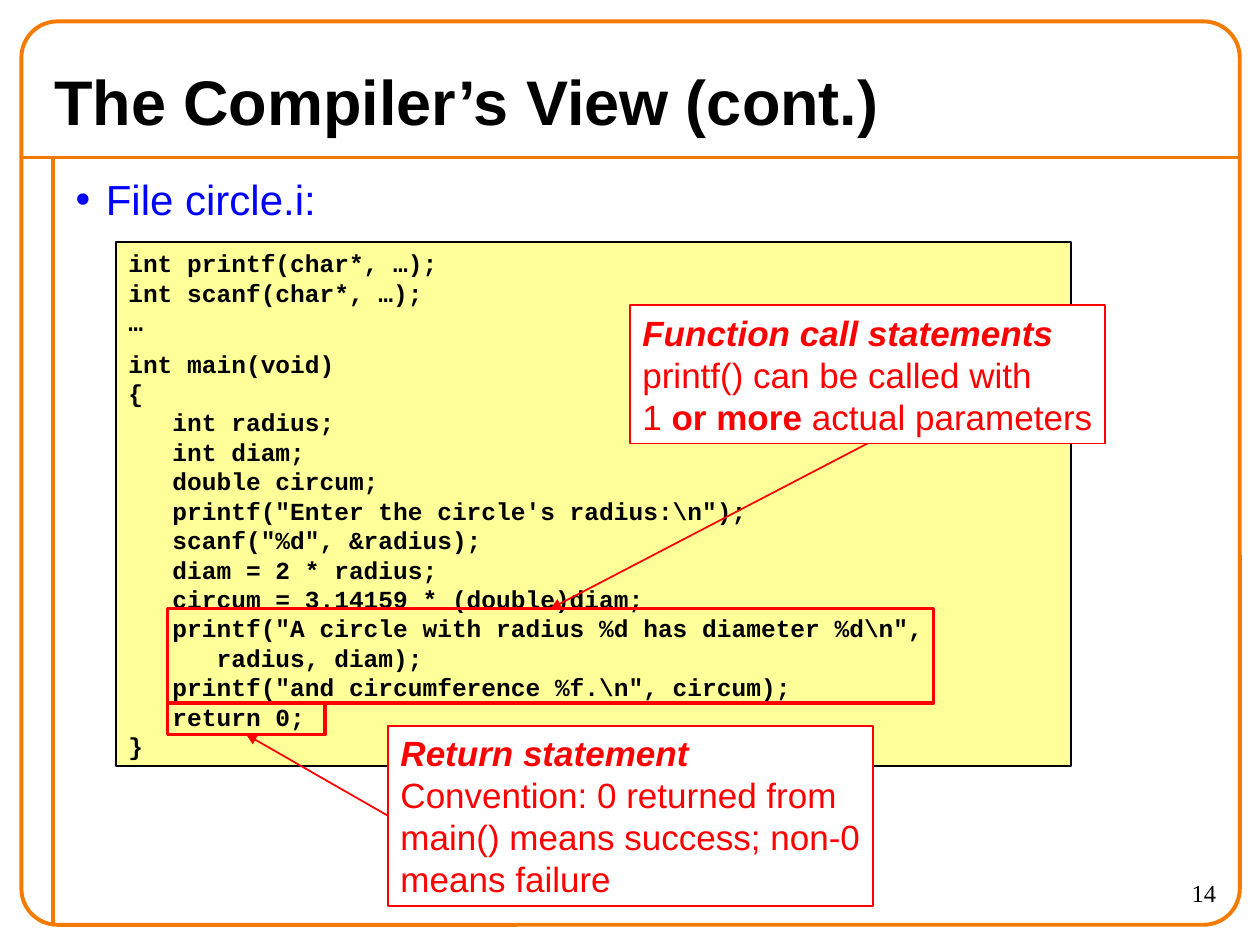
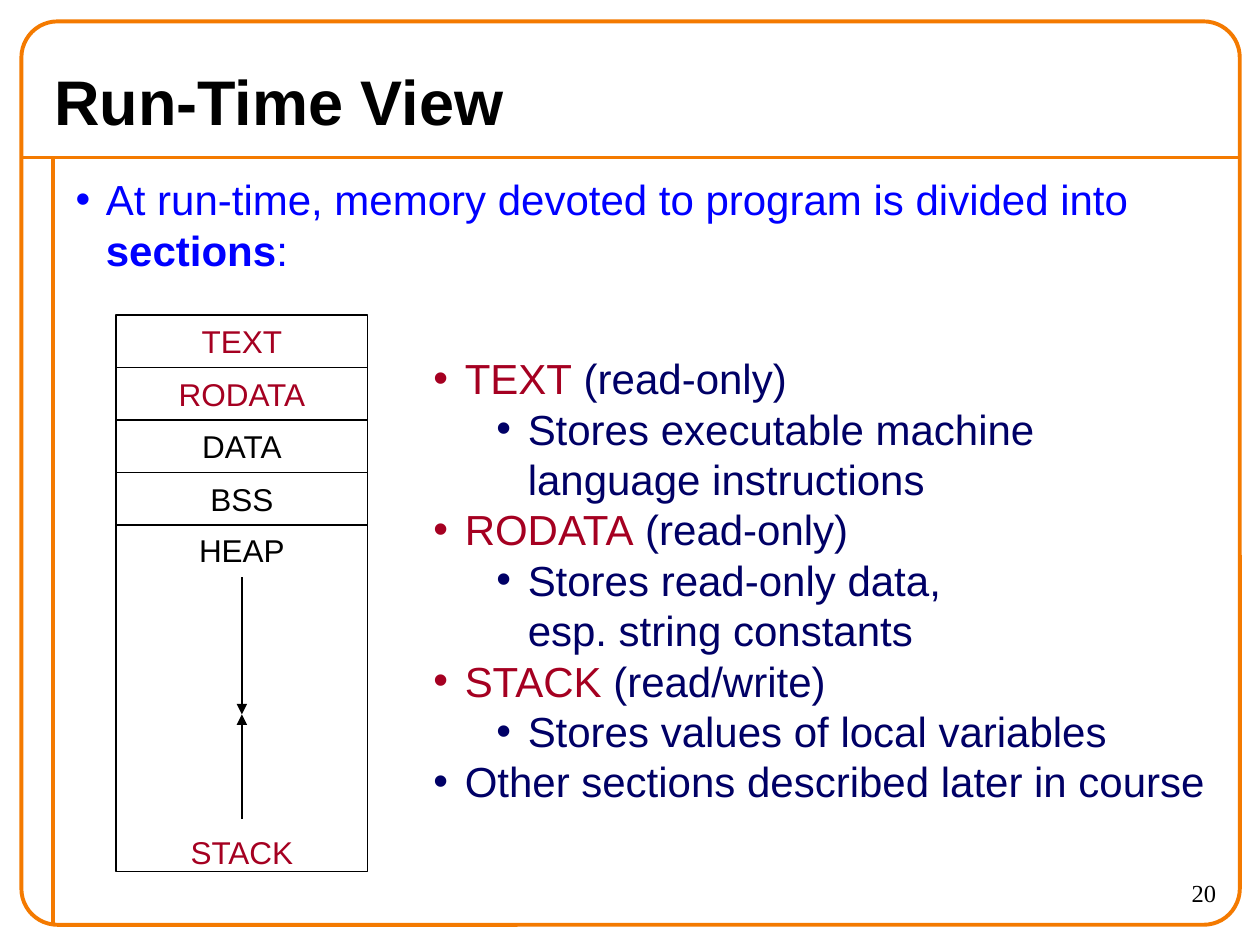
from lxml import etree
from pptx import Presentation
from pptx.dml.color import RGBColor
from pptx.enum import shapes, text
from pptx.oxml import ns
from pptx.util import Inches, Pt

ORANGE = RGBColor(0xF4, 0x7A, 0x00)
BLACK = RGBColor(0, 0, 0)
WHITE = RGBColor(0xFF, 0xFF, 0xFF)
BLUE = RGBColor(0, 0, 0xFF)
NAVY = RGBColor(0, 0, 0x66)
CRIMSON = RGBColor(0xA5, 0x00, 0x21)
RED = RGBColor(0xFF, 0, 0)
YELLOW = RGBColor(0xFF, 0xFF, 0x99)

SANS, SERIF, MONO = "Arial", "Times New Roman", "Courier New"
LINE_PITCH = 1.2

DECLARATIONS = """int printf(char*, …);
int scanf(char*, …);
…"""
MAIN_FUNCTION = r"""int main(void)
{
   int radius;
   int diam;
   double circum;
   printf("Enter the circle's radius:\n");
   scanf("%d", &radius);
   diam = 2 * radius;
   circum = 3.14159 * (double)diam;
   printf("A circle with radius %d has diameter %d\n",
      radius, diam);
   printf("and circumference %f.\n", circum);
   return 0;
}"""


# Text helpers
def write(paragraph, pieces, size, font=SANS, align=text.PP_ALIGN.LEFT, before=0):
    """Fill a paragraph with (text, colour, style) pieces; style holds b and/or i."""
    paragraph.alignment = align
    paragraph.space_before = Pt(before)
    paragraph.line_spacing = Pt(size * LINE_PITCH)
    for content, colour, style in pieces:
        for index, line in enumerate(content.split("\n")):
            if index:
                paragraph.add_line_break()
            run = paragraph.add_run()
            run.text = line
            run.font.name, run.font.size = font, Pt(size)
            run.font.color.rgb = colour
            run.font.bold, run.font.italic = "b" in style, "i" in style


def add_bullet(paragraph, colour, left, hanging):
    properties = paragraph._p.get_or_add_pPr()
    properties.set("marL", str(Inches(left)))
    properties.set("indent", str(-Inches(hanging)))
    bullet_colour = etree.SubElement(properties, ns.qn("a:buClr"))
    etree.SubElement(bullet_colour, ns.qn("a:srgbClr"), val=str(colour))
    etree.SubElement(properties, ns.qn("a:buFont"), typeface=SANS)
    etree.SubElement(properties, ns.qn("a:buChar"), char="•")


def paragraphs_of(frame, count):
    return [frame.paragraphs[0]] + [frame.add_paragraph() for _ in range(count - 1)]


# Shape helpers
def place(shape, box):
    shape.left, shape.top, shape.width, shape.height = map(Inches, box)


def add_box(slide, box, line, width, fill=None, kind=shapes.MSO_SHAPE.RECTANGLE,
            anchor=text.MSO_ANCHOR.MIDDLE):
    shape = slide.shapes.add_shape(kind, *map(Inches, box))
    shape.shadow.inherit = False
    shape.line.color.rgb, shape.line.width = line, Pt(width)
    if fill is None:
        shape.fill.background()
    else:
        shape.fill.solid()
        shape.fill.fore_color.rgb = fill
    shape.text_frame.word_wrap = False
    shape.text_frame.vertical_anchor = anchor
    return shape


def add_line(slide, start, end, colour, width, arrow=False):
    line = slide.shapes.add_connector(shapes.MSO_CONNECTOR.STRAIGHT,
                                      *map(Inches, (*start, *end)))
    line.line.color.rgb, line.line.width = colour, Pt(width)
    if arrow:
        etree.SubElement(line.line._get_or_add_ln(), ns.qn("a:tailEnd"), type="triangle")
    etree.SubElement(line._element.spPr, ns.qn("a:effectLst"))
    return line


# Shared slide: frame, title, lead bullet and page number
def add_slide(presentation, title, lead, number):
    slide = presentation.slides.add_slide(presentation.slide_layouts[1])
    add_line(slide, (0.17, 1.25), (9.83, 1.25), ORANGE, 2.25)
    add_line(slide, (0.42, 1.25), (0.42, 7.33), ORANGE, 2.25)
    frame = add_box(slide, (0.17, 0.17, 9.67, 7.17), ORANGE, 2.25,
                    kind=shapes.MSO_SHAPE.ROUNDED_RECTANGLE)
    frame.adjustments[0] = 0.04

    heading, body = slide.shapes.title, slide.placeholders[1]
    place(heading, (0.33, 0.42, 9.33, 0.75))
    place(body, (0.5, 1.33, 9.25, 6))
    for placeholder in (heading, body):
        placeholder.text_frame.auto_size = text.MSO_AUTO_SIZE.NONE
        placeholder.text_frame.word_wrap = True
    heading.text_frame.vertical_anchor = text.MSO_ANCHOR.MIDDLE
    write(heading.text_frame.paragraphs[0], [(title, BLACK, "b")], 36)
    add_bullet(body.text_frame.paragraphs[0], BLUE, 0.24, 0.24)
    write(body.text_frame.paragraphs[0], lead, 24)

    page = slide.shapes.add_textbox(*map(Inches, (8.75, 6.92, 1, 0.42)))
    page.text_frame.word_wrap = True
    write(page.text_frame.paragraphs[0], [(number, BLACK, "")], 14, SERIF,
          text.PP_ALIGN.RIGHT)
    return slide


# Code listing
def add_code(slide, box):
    listing = add_box(slide, box, BLACK, 1, YELLOW, anchor=text.MSO_ANCHOR.TOP)
    listing.text_frame.word_wrap = True
    blocks = (DECLARATIONS, MAIN_FUNCTION)
    for index, paragraph in enumerate(paragraphs_of(listing.text_frame, len(blocks))):
        write(paragraph, [(blocks[index], BLACK, "b")], 14, MONO, before=7 * index)


# Callout with an arrow to the code it explains; sites: 0 top, 1 left, 2 bottom
def add_callout(slide, box, lines, marked_box, from_site, to_site):
    marked = add_box(slide, marked_box, RED, 2)
    callout = add_box(slide, box, RED, 1, WHITE)
    for paragraph, pieces in zip(paragraphs_of(callout.text_frame, len(lines)), lines):
        write(paragraph, [(content, RED, style) for content, style in pieces], 20)
    arrow = add_line(slide, (0, 0), (1, 1), RED, 1, arrow=True)
    arrow.begin_connect(callout, from_site)
    arrow.end_connect(marked, to_site)


def build_compiler_view(presentation):
    slide = add_slide(presentation, "The Compiler’s View (cont.)",
                      [("File circle.i:", BLUE, "")], "14")
    add_code(slide, (0.92, 1.92, 7.58, 4.16))
    add_callout(slide, (5, 2.42, 3.77, 1.1), [
        [("Function call statements", "bi")],
        [("printf() can be called with", "")],
        [("1 ", ""), ("or more", "b"), (" actual parameters", "")],
    ], (1.33, 4.83, 6.08, 0.75), 2, 0)
    add_callout(slide, (3.08, 5.76, 3.85, 1.43), [
        [("Return statement", "bi")],
        [("Convention: 0 returned from", "")],
        [("main() means success; non-0", "")],
        [("means failure", "")],
    ], (1.33, 5.58, 1.25, 0.25), 1, 2)


# Memory map: four fixed sections above the shared heap and stack area
def add_memory_map(slide, box):
    left, top, width, height = box
    centre = text.PP_ALIGN.CENTER
    sections = [("TEXT", CRIMSON), ("RODATA", CRIMSON), ("DATA", BLACK), ("BSS", BLACK)]
    row = 5 / 12
    for index, (name, colour) in enumerate(sections):
        section = add_box(slide, (left, top + index * row, width, row), BLACK, 0.75)
        write(section.text_frame.paragraphs[0], [(name, colour, "")], 18, align=centre)

    used = len(sections) * row
    area = add_box(slide, (left, top + used, width, height - used), BLACK, 0.75,
                   anchor=text.MSO_ANCHOR.TOP)
    heap, stack = paragraphs_of(area.text_frame, 2)
    write(heap, [("HEAP", BLACK, "")], 18, align=centre)
    write(stack, [("STACK", CRIMSON, "")], 18, align=centre, before=151)

    middle, meeting = left + width / 2, top + 3.17
    for start in (top + 4, top + 2.08):
        add_line(slide, (middle, start), (middle, meeting), BLACK, 1, arrow=True)


# Explanations of the sections
def add_section_notes(slide, box):
    notes = [
        (0.25, [("TEXT", CRIMSON, ""), (" (read-only)", NAVY, "")]),
        (0.75, [("Stores executable machine\nlanguage instructions", NAVY, "")]),
        (0.25, [("RODATA", CRIMSON, ""), (" (read-only)", NAVY, "")]),
        (0.75, [("Stores read-only data,\nesp. string constants", NAVY, "")]),
        (0.25, [("STACK", CRIMSON, ""), (" (read/write)", NAVY, "")]),
        (0.75, [("Stores values of local variables", NAVY, "")]),
        (0.25, [("Other sections described later in course", NAVY, "")]),
    ]
    frame = slide.shapes.add_textbox(*map(Inches, box)).text_frame
    frame.word_wrap = False
    for paragraph, (indent, pieces) in zip(paragraphs_of(frame, len(notes)), notes):
        paragraph.level = int(indent > 0.5)
        add_bullet(paragraph, pieces[0][1], indent, 0.25)
        write(paragraph, pieces, 24)


def build_run_time_view(presentation):
    lead = [("At run-time, memory devoted to program is divided into ", BLUE, ""),
            ("sections", BLUE, "b"), (":", BLUE, "")]
    slide = add_slide(presentation, "Run-Time View", lead, "20")
    add_memory_map(slide, (0.92, 2.5, 2, 4.42))
    add_section_notes(slide, (3.34, 2.75, 6.32, 3.7))


def main():
    presentation = Presentation()
    presentation.slide_width, presentation.slide_height = Inches(10), Inches(7.5)
    build_compiler_view(presentation)
    build_run_time_view(presentation)
    presentation.save("out.pptx")


if __name__ == "__main__":
    main()
